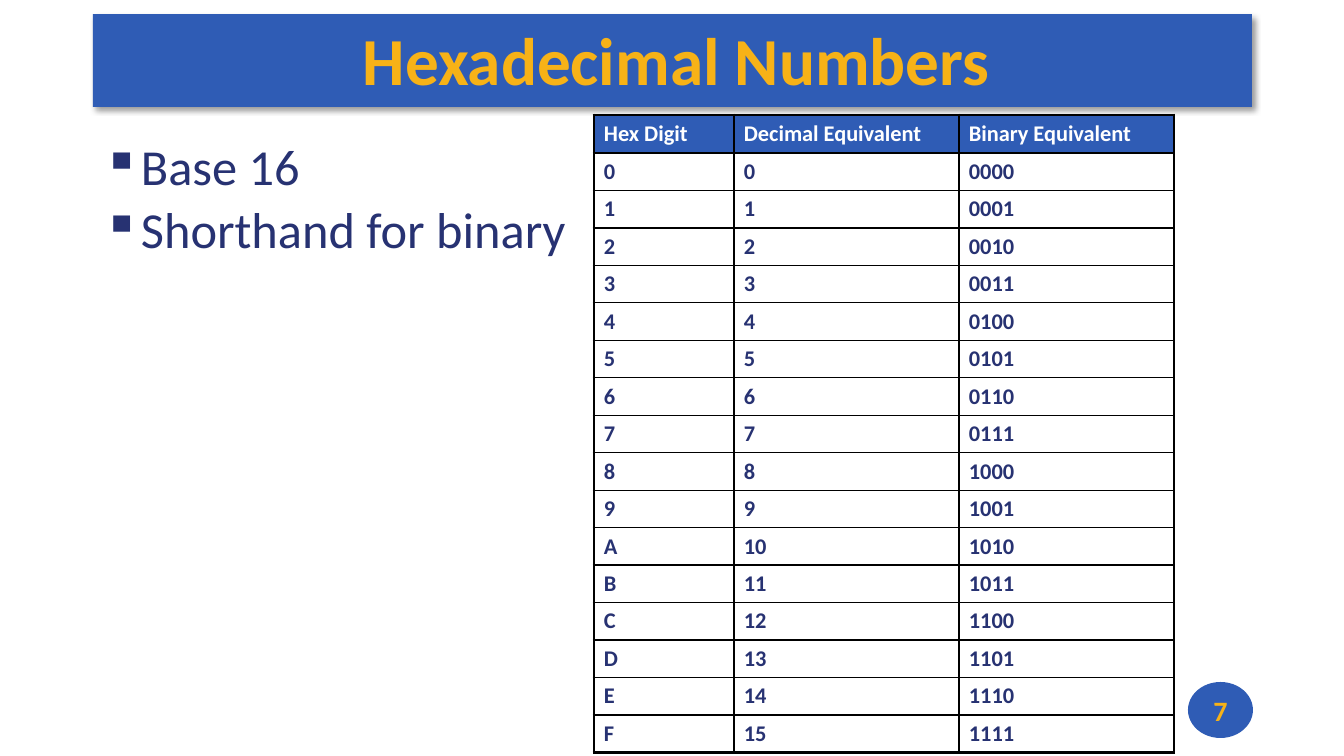
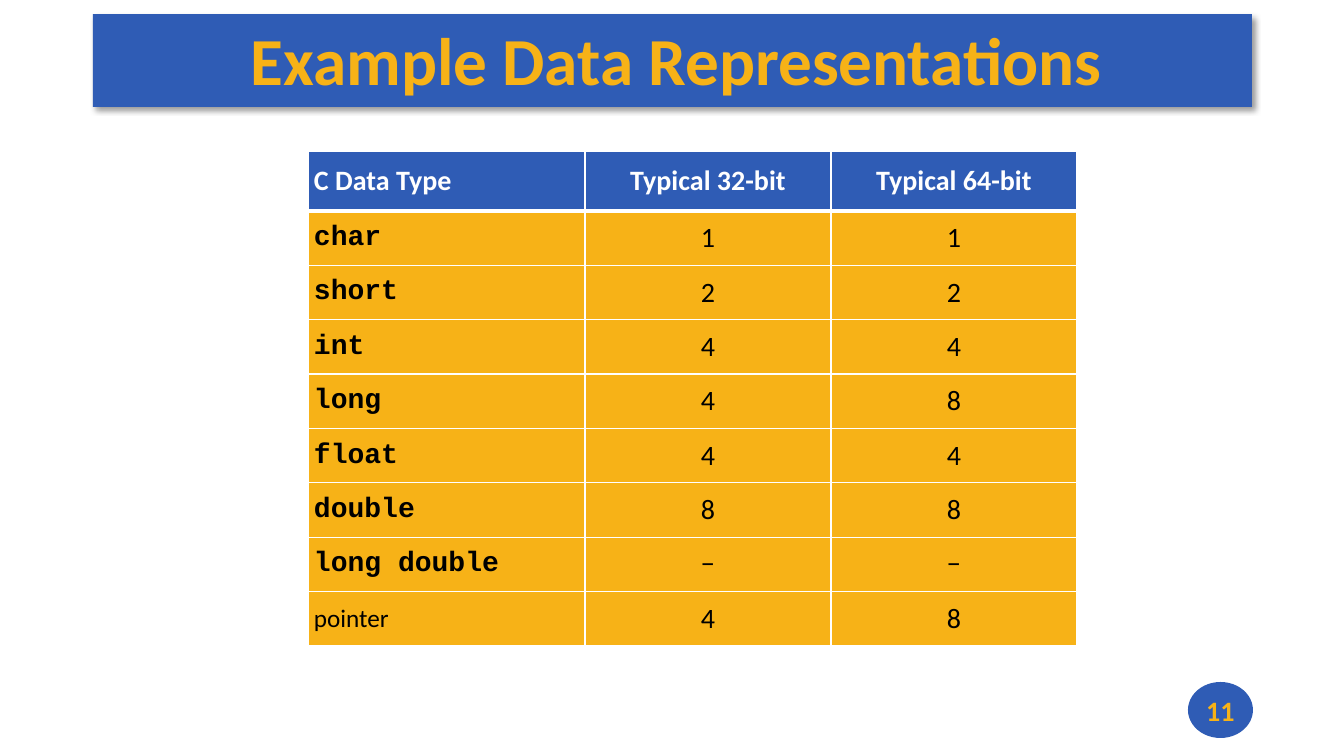
from dataclasses import dataclass

from lxml import etree
from pptx import Presentation
from pptx.dml.color import RGBColor
from pptx.enum.shapes import MSO_SHAPE
from pptx.enum.text import MSO_ANCHOR, PP_ALIGN
from pptx.oxml import parse_xml
from pptx.oxml.ns import nsdecls, qn
from pptx.util import Emu, Pt

RECTANGLE, OVAL = MSO_SHAPE.RECTANGLE, MSO_SHAPE.OVAL
MIDDLE = MSO_ANCHOR.MIDDLE
LEFT, CENTER = PP_ALIGN.LEFT, PP_ALIGN.CENTER

BLUE = RGBColor(0x2F, 0x5C, 0xB5)
GOLD = RGBColor(0xF7, 0xB2, 0x17)
NAVY = RGBColor(0x27, 0x32, 0x72)
WHITE = RGBColor(0xFF, 0xFF, 0xFF)
BLACK = RGBColor(0x00, 0x00, 0x00)

SANS, MONO = "Calibri", "Courier New"
EMU_PER_PX = 914400 / 100.8
BLANK_LAYOUT = 6

HEX_ROWS = [("Hex Digit", "Decimal Equivalent", "Binary Equivalent")] + [
    (f"{value:X}", str(value), f"{value:04b}") for value in range(16)
]
TYPE_ROWS = [
    ("C Data Type", "Typical 32-bit", "Typical 64-bit"),
    ("char", "1", "1"),
    ("short", "2", "2"),
    ("int", "4", "4"),
    ("long", "4", "8"),
    ("float", "4", "4"),
    ("double", "8", "8"),
    ("long double", "−", "−"),
    ("pointer", "4", "8"),
]


@dataclass
class TextStyle:
    """Look of the runs in a paragraph."""

    size: int
    color: RGBColor
    bold: bool = False
    font: str = SANS
    align: PP_ALIGN = LEFT


@dataclass
class TableDesign:
    """Fills, borders in points and padding in px of a table."""

    body_fill: RGBColor | None
    border_color: RGBColor
    outer_border: float
    header_border: float
    padding: tuple


HEX_DESIGN = TableDesign(None, BLACK, 2.25, 1, (10, 5))
TYPE_DESIGN = TableDesign(GOLD, WHITE, 1, 3, (6, 6))
TITLE_STYLE = TextStyle(48, GOLD, True, align=CENTER)
NUMBER_STYLE = TextStyle(20, GOLD, True, align=CENTER)
BULLET_STYLE = TextStyle(36, NAVY)


def px(length):
    """Turn px into EMU."""
    return Emu(round(length * EMU_PER_PX))


def box(left, top, width, height):
    """Turn a px frame into EMU."""
    return [px(length) for length in (left, top, width, height)]


def write(paragraph, text, style):
    """Set the text of a paragraph and format its runs."""
    paragraph.text = text
    paragraph.alignment = style.align
    for run in paragraph.runs:
        run.font.name = style.font
        run.font.size = Pt(style.size)
        run.font.bold = style.bold
        run.font.color.rgb = style.color


def set_margins(holder, left, top, right, bottom):
    """Set the inner margins of a text frame or cell."""
    holder.margin_left, holder.margin_top = px(left), px(top)
    holder.margin_right, holder.margin_bottom = px(right), px(bottom)


def add_label(slide, preset, frame, text, style, margins):
    """Add a blue shape with centred text."""
    label = slide.shapes.add_shape(preset, *box(*frame))
    label.shadow.inherit = False
    label.fill.solid()
    label.fill.fore_color.rgb = BLUE
    label.line.fill.background()
    label.text_frame.word_wrap = True
    label.text_frame.vertical_anchor = MIDDLE
    set_margins(label.text_frame, *margins)
    write(label.text_frame.paragraphs[0], text, style)
    return label


def cast_shadow(shape):
    """Give a shape a soft shadow to the lower right."""
    effects = shape._element.spPr.find(qn("a:effectLst"))
    effects.append(parse_xml(
        f'<a:outerShdw {nsdecls("a")} blurRad="{Pt(4)}" dist="{Pt(3)}" '
        'dir="2700000" algn="tl" rotWithShape="0"><a:srgbClr val="000000">'
        '<a:alpha val="40000"/></a:srgbClr></a:outerShdw>'
    ))


def add_slide(deck, title, number):
    """Add a slide with its title band and number badge."""
    slide = deck.slides.add_slide(deck.slide_layouts[BLANK_LAYOUT])
    band = add_label(slide, RECTANGLE, (93, 14, 1159, 93), title,
                     TITLE_STYLE, (8, 0, 0, 3))
    cast_shadow(band)
    add_label(slide, OVAL, (1188, 682, 65, 56), str(number),
              NUMBER_STYLE, (0, 0, 0, 0))
    return slide


def add_bullets(slide, frame, lines):
    """Add a list with square bullets."""
    text_frame = slide.shapes.add_textbox(*box(*frame)).text_frame
    text_frame.word_wrap = True
    for index, line in enumerate(lines):
        paragraph = text_frame.add_paragraph() if index else text_frame.paragraphs[0]
        properties = paragraph._p.get_or_add_pPr()
        properties.set("marL", str(px(38)))
        properties.set("indent", str(-px(38)))
        etree.SubElement(properties, qn("a:buChar"), char="▪")
        paragraph.line_spacing = 0.9
        if index:
            paragraph.space_before = Pt(6)
        write(paragraph, line, BULLET_STYLE)


def set_borders(cell, color, widths):
    """Draw cell borders, with widths keyed by side."""
    properties = cell._tc.get_or_add_tcPr()
    for side in "LRTB":
        border = etree.SubElement(properties, qn(f"a:ln{side}"), w=str(Pt(widths[side])))
        fill = etree.SubElement(border, qn("a:solidFill"))
        etree.SubElement(fill, qn("a:srgbClr"), val=str(color))


def border_widths(design, row, column, last_row, last_column):
    """Work out the border widths of a cell from its place."""
    outer, header = design.outer_border, design.header_border
    return {
        "L": outer if column == 0 else 1,
        "R": outer if column == last_column else 1,
        "T": outer if row == 0 else header if row == 1 else 1,
        "B": outer if row == last_row else header if row == 0 else 1,
    }


def fill_cell(cell, color):
    """Fill a cell, or leave it clear when there is no color."""
    if color is None:
        cell.fill.background()
    else:
        cell.fill.solid()
        cell.fill.fore_color.rgb = color


def add_grid(slide, origin, widths, header_height, body_height, rows, design, style_of):
    """Add a table with a blue header and equal body rows."""
    frame = box(*origin, sum(widths), header_height + body_height)
    table = slide.shapes.add_table(len(rows), len(widths), *frame).table
    table.horz_banding = False
    for column, width in zip(table.columns, widths):
        column.width = px(width)
    last_row, last_column = len(rows) - 1, len(widths) - 1
    for r, values in enumerate(rows):
        table.rows[r].height = px(body_height / last_row if r else header_height)
        for c, value in enumerate(values):
            cell = table.cell(r, c)
            set_margins(cell, *design.padding, *design.padding)
            cell.vertical_anchor = MIDDLE
            set_borders(cell, design.border_color,
                        border_widths(design, r, c, last_row, last_column))
            fill_cell(cell, design.body_fill if r else BLUE)
            write(cell.text_frame.paragraphs[0], value, style_of(r, c, value))


def hex_style(row, column, value):
    """Choose the text style of a hex table cell."""
    return TextStyle(16, NAVY if row else WHITE, True)


def type_style(row, column, value):
    """Choose the text style of a data type table cell."""
    align = CENTER if column else LEFT
    if row == 0:
        return TextStyle(20, WHITE, True, align=align)
    if column:
        return TextStyle(20, BLACK, align=align)
    if value == "pointer":
        return TextStyle(18, BLACK)
    return TextStyle(20, BLACK, True, MONO)


def main():
    """Build and save the deck."""
    deck = Presentation()
    deck.slide_width, deck.slide_height = px(1344), px(756)

    hex_slide = add_slide(deck, "Hexadecimal Numbers", 7)
    add_bullets(hex_slide, (93, 137, 483, 584), ["Base 16", "Shorthand for binary"])
    add_grid(hex_slide, (594, 115), (140, 225, 215), 38, 600,
             HEX_ROWS, HEX_DESIGN, hex_style)

    type_slide = add_slide(deck, "Example Data Representations", 11)
    add_grid(type_slide, (308, 151), (277, 246, 246), 60, 435,
             TYPE_ROWS, TYPE_DESIGN, type_style)

    deck.save("out.pptx")


if __name__ == "__main__":
    main()
